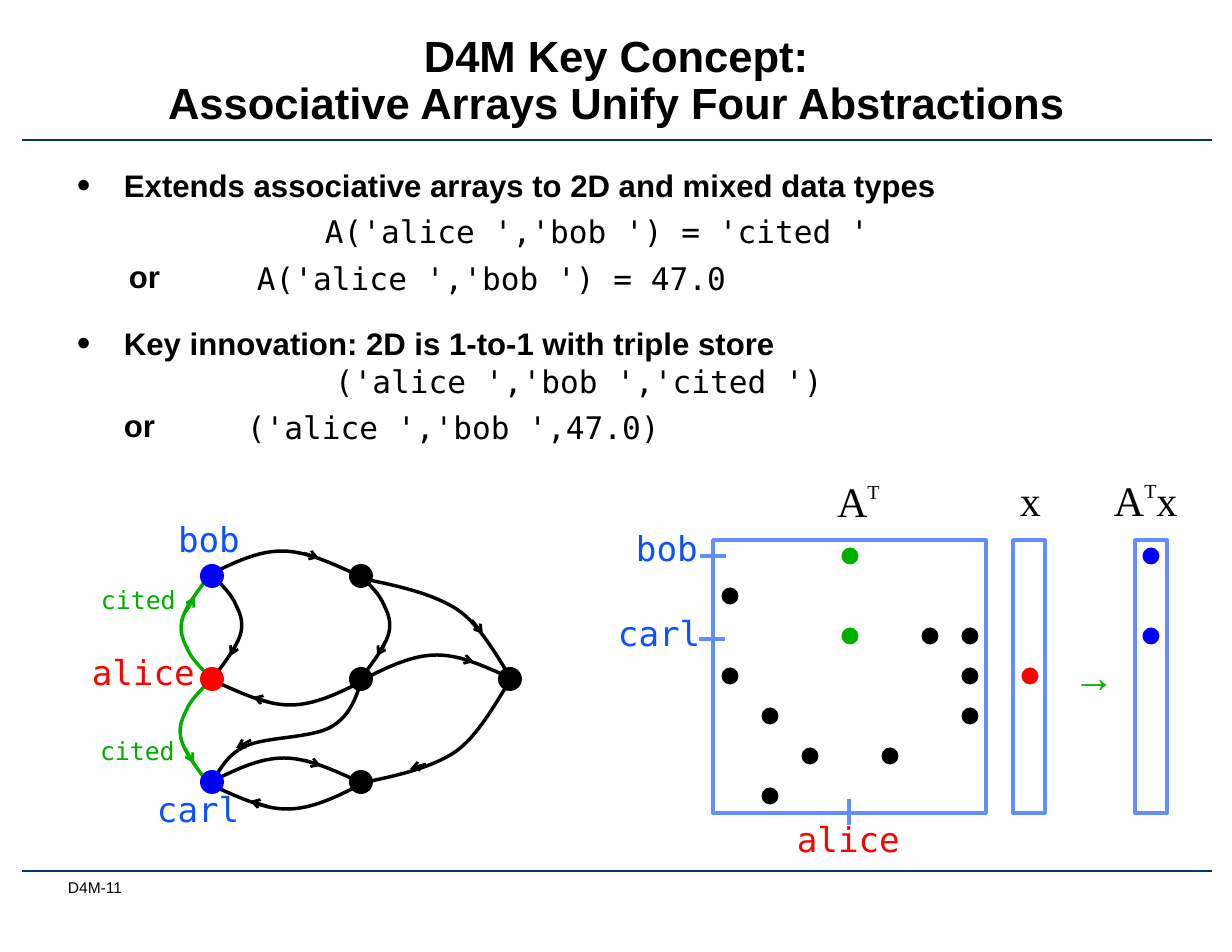
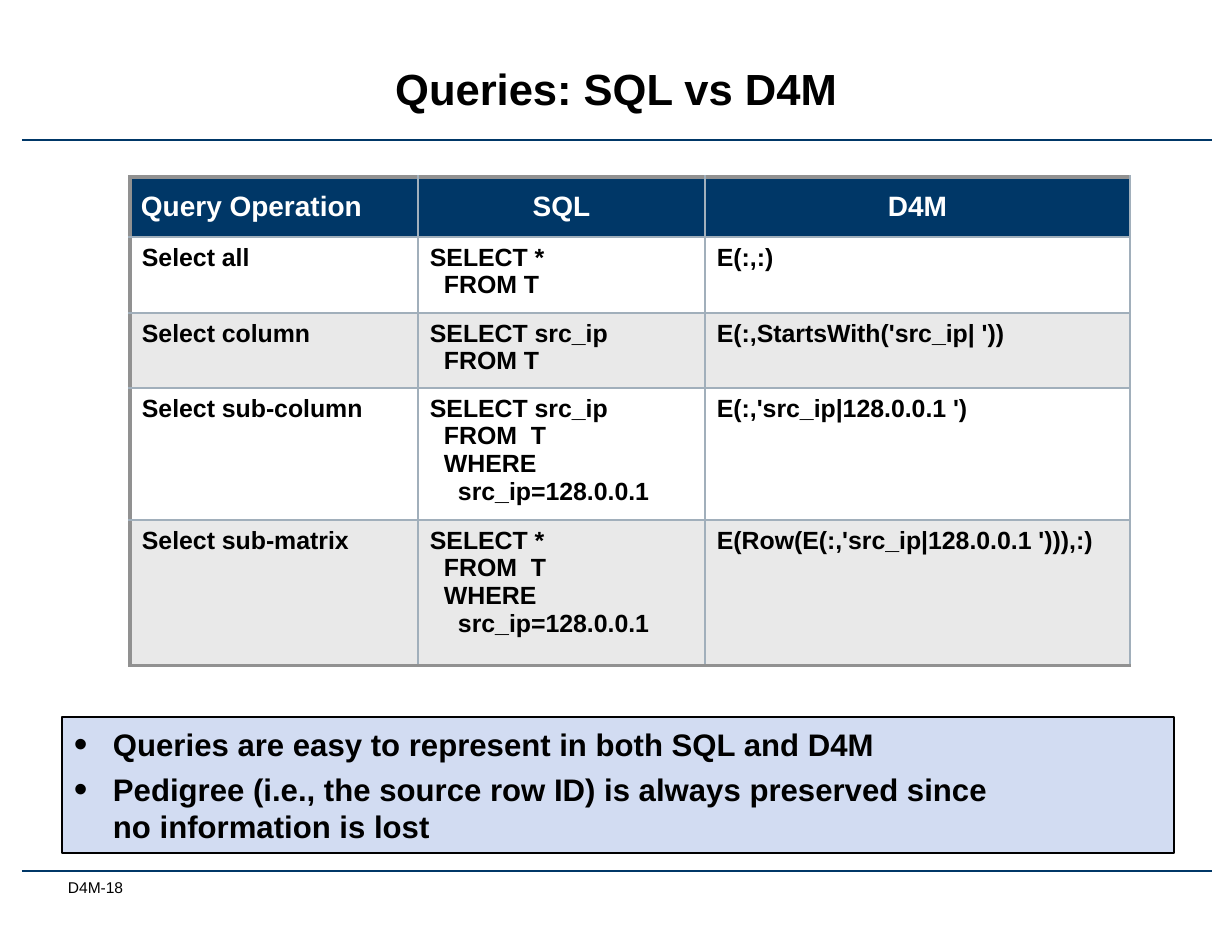
from lxml import etree
from pptx import Presentation
from pptx import util as u
from pptx.dml.color import RGBColor
from pptx.enum import shapes, text
from pptx.oxml import parse_xml
from pptx.oxml.ns import nsdecls, qn

SCALE = u.Inches(1) / 112
NAVY, BLACK, WHITE = "003767", "000000", "FFFFFF"
BLUE, RED, GREEN, FRAME, SKY = "0000FF", "FF0000", "00AE00", "618FFD", "0B52FC"
GREY, STEEL, PALE, BAND = "919191", "A1AFBB", "E9E9E9", "D2DCF2"
SANS, MONO, SERIF = "Arial", "DejaVu Sans Mono", "Times New Roman"
CENTER, MIDDLE = text.PP_ALIGN.CENTER, text.MSO_ANCHOR.MIDDLE
BOLD = {"size": 20, "name": SANS, "bold": True}
CODE = {"size": 20, "name": MONO}

# Words, style, paragraph format
BODY = [
    ("Extends associative arrays to 2D and mixed data types", BOLD,
     {"before": 6, "left": 47, "bullet": True}),
    ("A('alice ','bob ') = 'cited '", CODE, {"before": 6, "left": 248}),
    ("A('alice ','bob ') = 47.0", CODE, {"before": 6, "left": 180}),
    ("Key innovation: 2D is 1-to-1 with triple store", BOLD,
     {"before": 18, "left": 47, "bullet": True}),
    ("('alice ','bob ','cited ')", CODE, {"left": 258}),
    ("('alice ','bob ',47.0)", CODE, {"before": 6, "left": 170}),
]
ALTERNATIVES = [(117, 250, 70, 50), (112, 399, 70, 50)]

# Bezier control points relative to the start of each curve
CURVES = {
    "bend": [(9, 9), (18, 18), (22, 28), (27, 38), (30, 47), (26, 59),
             (22, 71), (11, 85), (0, 100)],
    "hump": [(24, -12), (48, -24), (73, -24), (98, -24), (124, -11), (151, 1)],
    "sweep": [(-9, 12), (-30, 54), (-55, 71), (-79, 87), (-114, 95), (-149, 102)],
    "wave": [(6, -6), (13, -26), (34, -35), (53, -44), (100, -43), (119, -54),
             (138, -65), (144, -83), (150, -102)],
}
# Curve, start, mirroring, arrow from and to, colour
EDGES = [
    ("bend", (209, 676), (-1, -1), (186, 612), (195, 597), GREEN),
    ("bend", (214, 577), (1, 1), (237, 642), (230, 656), BLACK),
    ("hump", (209, 575), (1, 1), (304, 553), (319, 558), BLACK),
    ("wave", (212, 781), (1, 1), (251, 740), (236, 748), BLACK),
    ("hump", (364, 679), (1, 1), (457, 657), (474, 662), BLACK),
    ("hump", (211, 782), (1, 1), (305, 760), (321, 766), BLACK),
    ("hump", (360, 785), (-1, -1), (267, 806), (250, 801), BLACK),
    ("hump", (363, 681), (-1, -1), (269, 702), (253, 697), BLACK),
    ("bend", (208, 683), (-1, 1), (185, 748), (194, 763), GREEN),
    ("bend", (362, 577), (1, 1), (385, 642), (377, 656), BLACK),
    ("sweep", (510, 681), (1, 1), (426, 764), (410, 769), BLACK),
    ("sweep", (513, 681), (1, -1), (472, 620), (483, 634), BLACK),
]
NODE_X, NODE_Y = (212, 361, 510), (576, 679, 782)
NODES = [(0, 0, BLUE), (0, 1, RED), (0, 2, BLUE), (1, 0, BLACK), (1, 1, BLACK),
         (1, 2, BLACK), (2, 1, BLACK)]

FRAMES = [(713, 540, 273, 273), (1013, 540, 32, 273), (1135, 540, 32, 273)]
MATRIX_X, VECTOR_X, RESULT_X, FIRST_ROW, PITCH = 730, 1030, 1151, 556, 40
MATRIX = [(0, 1), (0, 3), (1, 4), (1, 6), (2, 5), (3, 0), (3, 2), (4, 5),
          (5, 2), (6, 2), (6, 3), (6, 4)]
ALICE_COLUMN = 3
TICKS = [((849, 799), (849, 825)), ((726, 556), (700, 556)), ((725, 639), (699, 639))]

# Box, words, size, font, colour
LABELS = [
    ((785, 811, 129, 56), "alice", 22, MONO, RED),
    ((166, 511, 87, 56), "bob", 22, MONO, SKY),
    ((80, 644, 129, 56), "alice", 22, MONO, RED),
    ((145, 781, 108, 56), "carl", 22, MONO, SKY),
    ((624, 520, 87, 56), "bob", 22, MONO, SKY),
    ((606, 605, 108, 56), "carl", 22, MONO, SKY),
    ((89, 578, 101, 43), "cited", 16, MONO, GREEN),
    ((88, 729, 101, 43), "cited", 16, MONO, GREEN),
    ((1061, 643, 64, 63), "→", 27, SANS, GREEN),
]
LETTER = {"size": 27, "name": SERIF}
RAISED = {"size": 22, "name": SERIF, "baseline": 50}
FORMULAS = [
    ((826, 469, 67, 63), [("A", LETTER), ("T", RAISED)]),
    ((1009, 468, 44, 63), [("x", LETTER)]),
    ((1103, 468, 88, 63), [("A", LETTER), ("T", RAISED), ("x", LETTER)]),
]

COLUMNS, ROWS = (288, 287, 425), (60, 76, 75, 132, 146)
QUERIES = [
    ("Query Operation", "SQL", "D4M"),
    ("Select all", "SELECT *\n  FROM T", "E(:,:)"),
    ("Select column", "SELECT src_ip\n  FROM T", "E(:,StartsWith('src_ip| '))"),
    ("Select sub-column", "SELECT src_ip\n  FROM  T\n  WHERE\n    src_ip=128.0.0.1",
     "E(:,'src_ip|128.0.0.1 ')"),
    ("Select sub-matrix", "SELECT *\n  FROM  T\n  WHERE\n    src_ip=128.0.0.1",
     "E(Row(E(:,'src_ip|128.0.0.1 '))),:)"),
]
CODE_STEP = 7
SUMMARY = ["Queries are easy to represent in both SQL and D4M",
           "Pedigree (i.e., the source row ID) is always preserved since\v"
           "no information is lost"]


def px(number):
    return round(number * SCALE)


def place(values):
    return [px(value) for value in values]


def rgb(colour):
    return RGBColor.from_string(colour)


def set_frame(frame, inset=(12, 7, 12, 7), wrap=True, anchor=text.MSO_ANCHOR.TOP):
    left, top, right, bottom = place(inset)
    values = {"margin_left": left, "margin_top": top, "margin_right": right,
              "margin_bottom": bottom, "word_wrap": wrap, "vertical_anchor": anchor,
              "auto_size": text.MSO_AUTO_SIZE.NONE}
    for name, value in values.items():
        setattr(frame, name, value)


def set_font(font, size, name, bold=False, colour=BLACK):
    values = {"size": u.Pt(size), "name": name, "bold": bold}
    for key, value in values.items():
        setattr(font, key, value)
    font.color.rgb = rgb(colour)


def format_para(para, before=0, left=0, bullet=False, align=text.PP_ALIGN.LEFT):
    para.alignment = align
    para.space_before = u.Pt(before)
    props = para._p.get_or_add_pPr()
    props.set("marL", str(px(left)))
    props.set("indent", str(-px(left) if bullet else 0))
    if bullet:
        etree.SubElement(props, qn("a:buSzPct"), val="125000")
        etree.SubElement(props, qn("a:buFont"), typeface=SANS)
        etree.SubElement(props, qn("a:buChar"), char="•")


def write(frame, paras):
    """Fill a frame from (spans, paragraph format) pairs."""
    for index, (spans, layout) in enumerate(paras):
        para = frame.add_paragraph() if index else frame.paragraphs[0]
        format_para(para, **layout)
        for words, style in spans:
            style = dict(style)
            baseline = style.pop("baseline", 0)
            for number, line in enumerate(words.split("\v")):
                if number:
                    para.add_line_break()
                span = para.add_run()
                span.text = line
                set_font(span.font, **style)
                if baseline:
                    span._r.get_or_add_rPr().set("baseline", str(baseline * 1000))


def add_text(page, at, paras, **frame_format):
    box = page.shapes.add_textbox(*place(at))
    set_frame(box.text_frame, **frame_format)
    write(box.text_frame, paras)


def add_preset(page, kind, at, fill=None, line=None, width=1):
    shape = page.shapes.add_shape(kind, *place(at))
    shape.shadow.inherit = False
    if fill:
        shape.fill.solid()
        shape.fill.fore_color.rgb = rgb(fill)
    else:
        shape.fill.background()
    if line:
        shape.line.color.rgb = rgb(line)
        shape.line.width = u.Pt(width)
    else:
        shape.line.fill.background()
    return shape


def add_dot(page, x, y, size, colour):
    add_preset(page, shapes.MSO_SHAPE.OVAL, (x - size / 2, y - size / 2, size, size), colour)


def add_line(page, start, end, colour, width, arrow=False):
    line = page.shapes.add_connector(shapes.MSO_CONNECTOR.STRAIGHT, *place((*start, *end)))
    line.line.color.rgb = rgb(colour)
    line.line.width = u.Pt(width)
    if arrow:
        etree.SubElement(line.line._get_or_add_ln(), qn("a:tailEnd"), type="arrow")
    etree.SubElement(line._element.spPr, qn("a:effectLst"))


def add_curve(page, controls, start, mirror, colour):
    """Outline the control points, then turn each three segments into one Bezier."""
    points = [place(s + m * c for s, m, c in zip(start, mirror, control))
              for control in controls]
    builder = page.shapes.build_freeform(*place(start), scale=1.0)
    builder.add_line_segments(points, close=False)
    curve = builder.convert_to_shape()
    segments = list(curve._element.iter(qn("a:lnTo")))
    for first in range(0, len(segments), 3):
        bezier = etree.SubElement(segments[first].getparent(), qn("a:cubicBezTo"))
        for segment in segments[first:first + 3]:
            bezier.append(segment[0])
            segment.getparent().remove(segment)
    curve.shadow.inherit = False
    curve.fill.background()
    curve.line.color.rgb = rgb(colour)
    curve.line.width = u.Pt(2.25)


def add_page(deck, title, top, footer):
    page = deck.slides.add_slide(deck.slide_layouts[5])
    for y in (140, 871):
        add_line(page, (22, y), (1212, y), NAVY, 1.75)
    add_text(page, (61, 878, 147, 30), [([(footer, {"size": 10, "name": SANS})], {})],
             inset=(7, 0, 0, 0))
    box = page.shapes.title
    box.left, box.top, box.width, box.height = place((127, top, 978, 113))
    set_frame(box.text_frame, anchor=MIDDLE)
    write(box.text_frame, [([(title, {**BOLD, "size": 28})], {"align": CENTER})])
    box.text_frame.paragraphs[0].line_spacing = u.Pt(30)
    return page


def add_graph(page):
    for curve, start, mirror, tail, head, colour in EDGES:
        add_curve(page, CURVES[curve], start, mirror, colour)
        add_line(page, tail, head, colour, 1.75, arrow=True)
    for column, row, colour in NODES:
        add_dot(page, NODE_X[column], NODE_Y[row], 24, colour)


def add_matrix(page):
    for at in FRAMES:
        add_preset(page, shapes.MSO_SHAPE.RECTANGLE, at, line=FRAME, width=2.25)
    dots = [(MATRIX_X + PITCH * column, row, GREEN if column == ALICE_COLUMN else BLACK)
            for column, row in MATRIX]
    dots += [(VECTOR_X, 3, RED), (RESULT_X, 0, BLUE), (RESULT_X, 2, BLUE)]
    for x, row, colour in dots:
        add_dot(page, x, FIRST_ROW + PITCH * row, 17, colour)
    for start, end in TICKS:
        add_line(page, start, end, FRAME, 2.25)


def add_border(cell, side, colour, width):
    cell._tc.get_or_add_tcPr().append(parse_xml(
        f'<a:ln{side} {nsdecls("a")} w="{u.Pt(width)}"><a:solidFill>'
        f'<a:srgbClr val="{colour}"/></a:solidFill></a:ln{side}>'))


def add_queries(page):
    table = page.shapes.add_table(len(ROWS), len(COLUMNS), *place(
        (130, 177, sum(COLUMNS), sum(ROWS)))).table
    table.first_row = table.horz_banding = False
    for column, width in zip(table.columns, COLUMNS):
        column.width = px(width)
    for r, (row, height) in enumerate(zip(table.rows, ROWS)):
        row.height = px(height)
        for c, (cell, words) in enumerate(zip(row.cells, QUERIES[r])):
            outer = {"L": c == 0, "R": False, "T": r == 0, "B": r == len(ROWS) - 1}
            for side, thick in outer.items():
                add_border(cell, side, *((GREY, 2.25) if thick else (STEEL, 1)))
            cell.fill.solid()
            cell.fill.fore_color.rgb = rgb(NAVY if r == 0 else WHITE if r % 2 else PALE)
            cell.margin_left = cell.margin_right = px(12 if r else 11)
            cell.margin_top = cell.margin_bottom = px(7)
            cell.vertical_anchor = text.MSO_ANCHOR.TOP if r else MIDDLE
            style = {**BOLD, "size": 16} if r else {**BOLD, "size": 18, "colour": WHITE}
            align = CENTER if r == 0 and c else text.PP_ALIGN.LEFT
            paras = []
            for line in words.split("\n"):
                code = line.lstrip()
                left = CODE_STEP * (len(line) - len(code))
                paras.append(([(code, style)], {"left": left, "align": align}))
            write(cell.text_frame, paras)


def main():
    deck = Presentation()
    deck.slide_width, deck.slide_height = place((1232, 952))

    page = add_page(deck, "D4M Key Concept:\vAssociative Arrays Unify Four Abstractions",
                    25, "D4M-11")
    add_text(page, (65, 159, 1102, 300),
             [([(words, style)], layout) for words, style, layout in BODY])
    for at in ALTERNATIVES:
        add_text(page, at, [([("or", BOLD)], {})])
    add_graph(page)
    add_matrix(page)
    for at, words, size, name, colour in LABELS:
        style = {"size": size, "name": name, "colour": colour}
        add_text(page, at, [([(words, style)], {})], wrap=False)
    for at, spans in FORMULAS:
        add_text(page, at, [(spans, {})], inset=(11, 6, 11, 6), wrap=False)

    page = add_page(deck, "Queries: SQL vs D4M", 34, "D4M-18")
    add_queries(page)
    box = add_preset(page, shapes.MSO_SHAPE.RECTANGLE, (62, 717, 1112, 136), BAND, BLACK)
    set_frame(box.text_frame, inset=(12, 6, 12, 6), anchor=MIDDLE)
    write(box.text_frame, [([(words, BOLD)], {"before": 5, "left": 39, "bullet": True})
                           for words in SUMMARY])
    deck.save("out.pptx")


if __name__ == "__main__":
    main()
